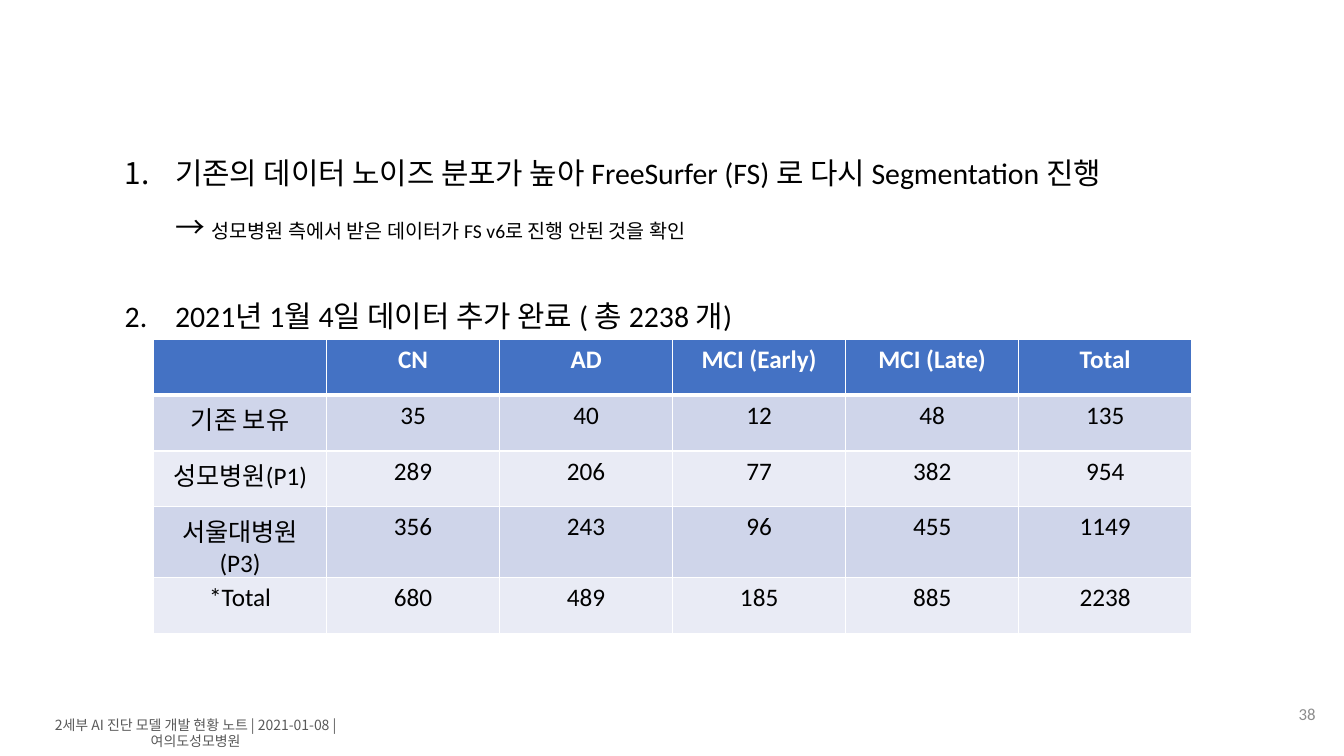
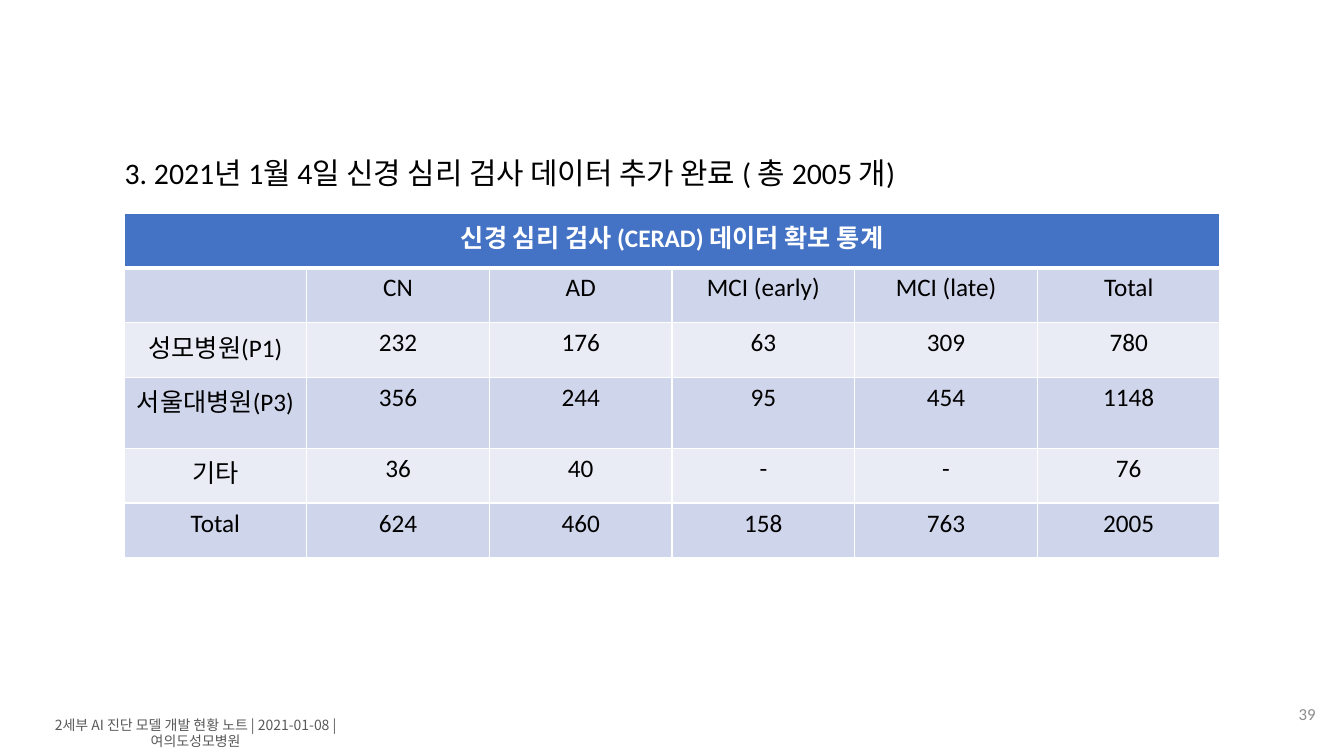
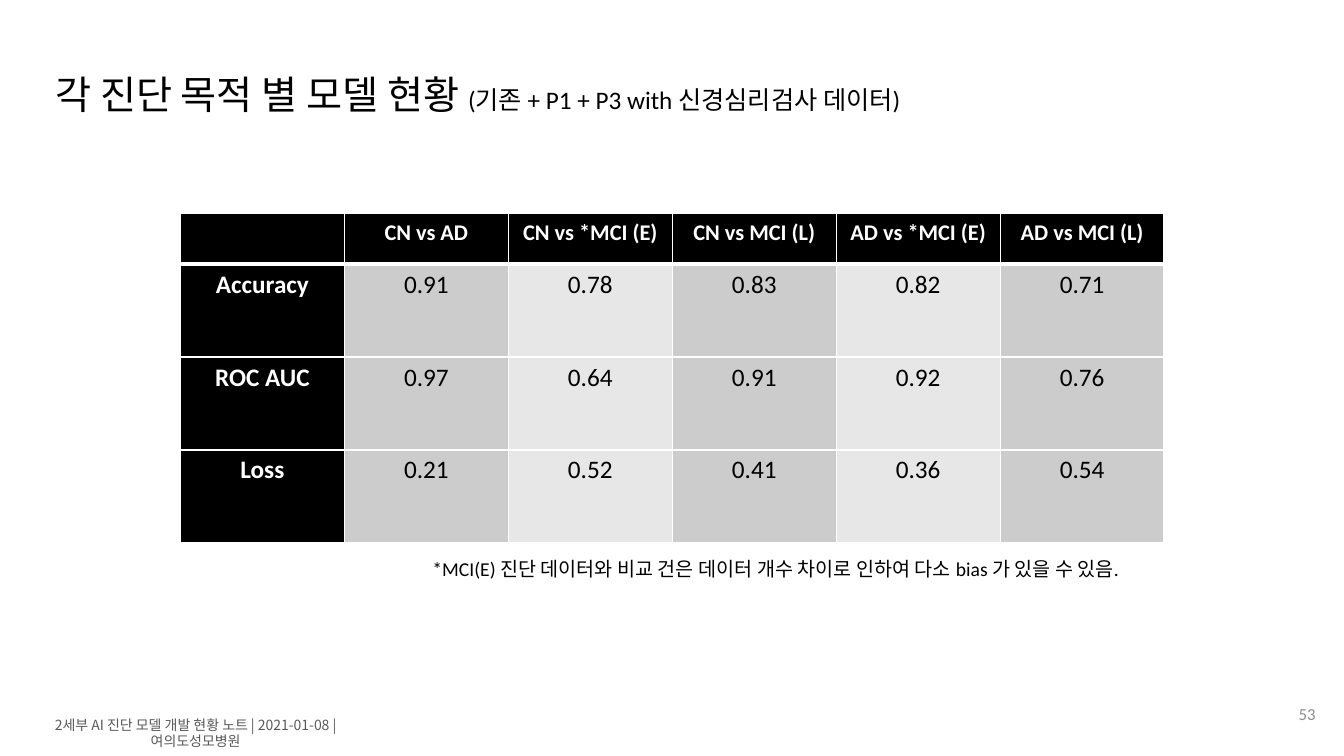
from lxml import etree
from pptx import Presentation
from pptx.dml.color import RGBColor
from pptx.enum.text import MSO_ANCHOR, PP_ALIGN
from pptx.oxml.ns import qn
from pptx.util import Pt

LEFT, CENTER, RIGHT = PP_ALIGN.LEFT, PP_ALIGN.CENTER, PP_ALIGN.RIGHT
TOP, MIDDLE = MSO_ANCHOR.TOP, MSO_ANCHOR.MIDDLE

COLORS = {
    "black": "000000", "white": "FFFFFF",
    "footer": "595959", "number": "8C8C8C",
    "blue": "4472C4", "blue_dark_band": "CFD5EA", "blue_light_band": "E9EBF5",
    "gray_dark_band": "CCCCCC", "gray_light_band": "E7E7E7",
}
BODY_FONT, FOOTER_FONT = "Calibri", "Noto Sans CJK KR"
HEADING_SIZE, TABLE_SIZE, NOTE_SIZE = 21.3, 18, 14
CONTENT_BOX = (82, 94.3, 796.4)


def rgb(name):
    return RGBColor.from_string(COLORS[name])


def set_font(font, size, color="black", name=BODY_FONT, bold=False):
    font.size, font.name, font.bold = Pt(size), name, bold
    font.color.rgb = rgb(color)


def add_frame(page, box, anchor=TOP, wrap=True):
    frame = page.shapes.add_textbox(*(Pt(length) for length in box)).text_frame
    frame.word_wrap, frame.vertical_anchor = wrap, anchor
    return frame


def add_text(page, box, text="", size=HEADING_SIZE, color="black", name=BODY_FONT,
             align=LEFT, anchor=TOP, wrap=True, spacing=None):
    """Add a text box with one styled paragraph and return that paragraph."""
    para = add_frame(page, box, anchor, wrap).paragraphs[0]
    para.alignment, para.line_spacing = align, spacing
    if text:
        para.add_run().text = text
    set_font(para.font, size, color, name)
    return para


def add_span(para, text, size=None):
    span = para.add_run()
    span.text = text
    if size:
        span.font.size = Pt(size)


def style_numbered(para, space_before=0):
    """Give a paragraph an automatic number, a hanging indent and the heading font."""
    para.line_spacing, para.space_before = 1.5, Pt(space_before)
    props = para._p.get_or_add_pPr()
    props.set("marL", str(Pt(36)))
    props.set("indent", str(Pt(-36)))
    etree.SubElement(props, qn("a:buFont"), typeface="+mj-lt")
    etree.SubElement(props, qn("a:buAutoNum"), type="arabicPeriod")
    set_font(para.font, HEADING_SIZE)


def set_borders(cell, row):
    """Draw white edges, with a thick one under the header row."""
    widths = {"lnL": 1, "lnR": 1, "lnT": 3 if row == 1 else 1, "lnB": 3 if row == 0 else 1}
    props = cell._tc.get_or_add_tcPr()
    for edge, width in widths.items():
        line = etree.SubElement(props, qn(f"a:{edge}"), w=str(Pt(width)))
        fill = etree.SubElement(line, qn("a:solidFill"))
        etree.SubElement(fill, qn("a:srgbClr"), val=COLORS["white"])


def blue_style(row, col):
    if row == 0:
        return "blue", True, TABLE_SIZE
    return ("blue_dark_band" if row % 2 else "blue_light_band"), False, TABLE_SIZE


def black_style(row, col):
    if row == 0 or col == 0:
        return "black", True, TABLE_SIZE if row else 16
    return ("gray_dark_band" if col % 2 else "gray_light_band"), False, TABLE_SIZE


def add_grid(page, left, top, col_width, row_heights, rows, style):
    """Add a table; style(row, col) gives fill, header flag and text size."""
    cols = max(len(values) for values in rows)
    table = page.shapes.add_table(len(rows), cols, Pt(left), Pt(top),
                                  Pt(col_width * cols), Pt(sum(row_heights))).table
    table.first_col = style is black_style
    for column in table.columns:
        column.width = Pt(col_width)
    for row, values in enumerate(rows):
        table.rows[row].height = Pt(row_heights[row])
        for col in range(cols):
            cell = table.cell(row, col)
            fill, header, size = style(row, col)
            set_borders(cell, row)
            cell.fill.solid()
            cell.fill.fore_color.rgb = rgb(fill)
            para = cell.text_frame.paragraphs[0]
            para.alignment = CENTER
            if col < len(values) and values[col]:
                para.add_run().text = values[col]
            set_font(para.font, size, "white" if header else "black", bold=header)
        if len(values) == 1:
            table.cell(row, 0).merge(table.cell(row, cols - 1))


def add_page(deck, number):
    """Add a blank slide with the shared footer and page number."""
    page = deck.slides.add_slide(deck.slide_layouts[6])
    add_text(page, (0, 507, 279.4, 33), "2세부 AI 진단 모델 개발 현황 노트 | 2021-01-08 | 여의도성모병원",
             10, "footer", FOOTER_FONT, CENTER, MIDDLE)
    add_text(page, (889.2, 489.6, 57.6, 41), str(number), 12, "number",
             align=RIGHT, anchor=MIDDLE)
    return page


def build_data_page(deck):
    page = add_page(deck, 38)
    frame = add_frame(page, (*CONTENT_BOX, 204.5))
    first, second = frame.paragraphs[0], frame.add_paragraph()
    style_numbered(first)
    add_span(first, "기존의 데이터 노이즈 분포가 높아 FreeSurfer (FS) 로 다시 Segmentation 진행", HEADING_SIZE)
    first.add_line_break()
    add_span(first, "→ ", HEADING_SIZE)
    add_span(first, "성모병원 측에서 받은 데이터가 FS v6로 진행 안된 것을 확인", NOTE_SIZE)
    style_numbered(second, space_before=25.6)
    add_span(second, "2021년 1월 4일 데이터 추가 완료 ( 총 2238 개)")
    add_grid(page, 109.7, 242.6, 123.6, [39.8] * 5, [
        ["", "CN", "AD", "MCI (Early)", "MCI (Late)", "Total"],
        ["기존 보유", "35", "40", "12", "48", "135"],
        ["성모병원(P1)", "289", "206", "77", "382", "954"],
        ["서울대병원(P3)", "356", "243", "96", "455", "1149"],
        ["*Total", "680", "489", "185", "885", "2238"],
    ], blue_style)


def build_test_page(deck):
    page = add_page(deck, 39)
    add_grid(page, 88.6, 152.2, 130.5, [39.2] * 6, [
        ["신경 심리 검사 (CERAD) 데이터 확보 통계"],
        ["", "CN", "AD", "MCI (early)", "MCI (late)", "Total"],
        ["성모병원(P1)", "232", "176", "63", "309", "780"],
        ["서울대병원(P3)", "356", "244", "95", "454", "1148"],
        ["기타", "36", "40", "-", "-", "76"],
        ["Total", "624", "460", "158", "763", "2005"],
    ], blue_style)
    add_text(page, (*CONTENT_BOX, 101.5),
             "3. 2021년 1월 4일 신경 심리 검사 데이터 추가 완료 ( 총 2005 개)", spacing=1.5)


def build_model_page(deck):
    page = add_page(deck, 53)
    title = add_text(page, (32.4, 24.5, 894.2, 88.6), size=28, anchor=MIDDLE, spacing=0.9)
    add_span(title, "각 진단 목적 별 모델 현황 ")
    add_span(title, "(기존 + P1 + P3 with 신경심리검사 데이터)", 18)
    add_grid(page, 128.9, 152.6, 117.1, [36] + [66.4] * 3, [
        ["", "CN vs AD", "CN vs *MCI (E)", "CN vs MCI (L)", "AD vs *MCI (E)", "AD vs MCI (L)"],
        ["Accuracy", "0.91", "0.78", "0.83", "0.82", "0.71"],
        ["ROC AUC", "0.97", "0.64", "0.91", "0.92", "0.76"],
        ["Loss", "0.21", "0.52", "0.41", "0.36", "0.54"],
    ], black_style)
    add_text(page, (301.7, 394.6, 541.4, 24.5),
             "*MCI(E) 진단 데이터와 비교 건은 데이터 개수 차이로 인하여 다소 bias 가 있을 수 있음.",
             NOTE_SIZE, wrap=False)


def main():
    deck = Presentation()
    deck.slide_width, deck.slide_height = Pt(960), Pt(540)
    build_data_page(deck)
    build_test_page(deck)
    build_model_page(deck)
    deck.save("out.pptx")


if __name__ == "__main__":
    main()
